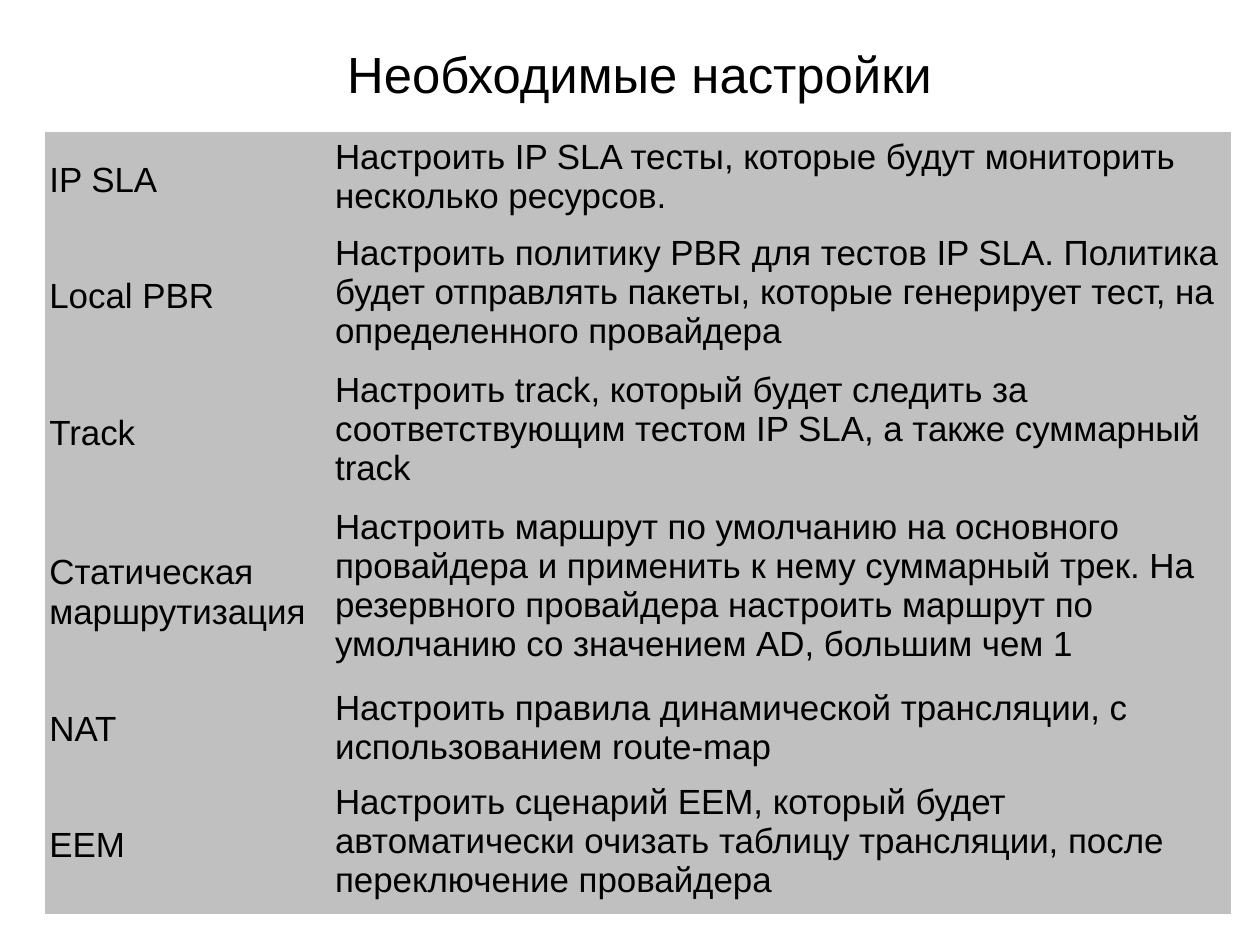
"""Build the slide listing the required network settings in a two-column table."""
import dataclasses

import pptx
import pptx.dml.color
import pptx.enum.text
import pptx.oxml.ns
import pptx.slide
import pptx.text.text
import pptx.util

PX = 635


@dataclasses.dataclass(frozen=True)
class Theme:
    font: str = "Arial"
    ink: str = "000000"
    cell_fill: str = "C0C0C0"
    title_size: int = 32
    body_size: int = 22


@dataclasses.dataclass(frozen=True)
class Setting:
    name: str
    task: str
    height: int


THEME = Theme()
COLUMN_WIDTHS = (3600, 11340)
SETTINGS = (
    Setting("IP SLA", "Настроить IP SLA тесты, которые будут мониторить несколько ресурсов.", 1210),
    Setting(
        "Local PBR",
        "Настроить политику PBR для тестов IP SLA. Политика будет отправлять пакеты, "
        "которые генерирует тест, на определенного провайдера",
        1725,
    ),
    Setting(
        "Track",
        "Настроить track, который будет следить за соответствующим тестом IP SLA, "
        "а также суммарный track",
        1725,
    ),
    Setting(
        "Статическая маршрутизация",
        "Настроить маршрут по умолчанию на основного провайдера и применить к нему "
        "суммарный трек. На резервного провайдера настроить маршрут по умолчанию "
        "со значением AD, большим чем 1",
        2280,
    ),
    Setting("NAT", "Настроить правила динамической трансляции, с использованием route-map", 1185),
    Setting(
        "EEM",
        "Настроить сценарий EEM, который будет автоматически очизать таблицу "
        "трансляции, после переключение провайдера",
        1725,
    ),
)


def px(n: int) -> pptx.util.Emu:
    return pptx.util.Emu(n * PX)


def write(tf: pptx.text.text.TextFrame, text: str, size: int, align: pptx.enum.text.PP_ALIGN) -> None:
    tf.text = text
    p = tf.paragraphs[0]
    p.alignment = align
    font = p.runs[0].font
    font.name = THEME.font
    font.size = pptx.util.Pt(size)
    font.color.rgb = pptx.dml.color.RGBColor.from_string(THEME.ink)


def add_title(s: pptx.slide.Slide, text: str) -> None:
    sp = s.shapes.title
    sp.left, sp.top, sp.width, sp.height = px(720), px(360), px(14685), px(1123)
    tf = sp.text_frame
    tf.margin_left = tf.margin_right = tf.margin_top = tf.margin_bottom = 0
    tf.word_wrap = True
    tf.auto_size = pptx.enum.text.MSO_AUTO_SIZE.NONE
    tf.vertical_anchor = pptx.enum.text.MSO_ANCHOR.MIDDLE
    write(tf, text, THEME.title_size, pptx.enum.text.PP_ALIGN.CENTER)


def add_settings(s: pptx.slide.Slide, settings: tuple[Setting, ...]) -> None:
    height = sum(setting.height for setting in settings)
    gf = s.shapes.add_table(
        len(settings), len(COLUMN_WIDTHS), px(565), px(1664), px(sum(COLUMN_WIDTHS)), px(height)
    )
    table = gf.table
    table.first_row = table.horz_banding = False
    style = next(gf.element.iter(pptx.oxml.ns.qn("a:tableStyleId")))
    style.text = "{2D5ABB26-0587-4C30-8999-92F81FD0307C}"
    for column, width in zip(table.columns, COLUMN_WIDTHS):
        column.width = px(width)
    anchors = (pptx.enum.text.MSO_ANCHOR.MIDDLE, pptx.enum.text.MSO_ANCHOR.TOP)
    for row, setting in zip(table.rows, settings):
        row.height = px(setting.height)
        for cell, text, anchor in zip(row.cells, (setting.name, setting.task), anchors):
            cell.fill.solid()
            cell.fill.fore_color.rgb = pptx.dml.color.RGBColor.from_string(THEME.cell_fill)
            cell.margin_left = cell.margin_right = px(57)
            cell.margin_top = cell.margin_bottom = px(72)
            cell.vertical_anchor = anchor
            write(cell.text_frame, text, THEME.body_size, pptx.enum.text.PP_ALIGN.LEFT)


def main() -> None:
    prs = pptx.Presentation()
    prs.slide_width, prs.slide_height = px(15875), px(11905)
    s = prs.slides.add_slide(prs.slide_layouts[5])
    add_title(s, "Необходимые настройки")
    add_settings(s, SETTINGS)
    prs.save("out.pptx")


if __name__ == "__main__":
    main()
